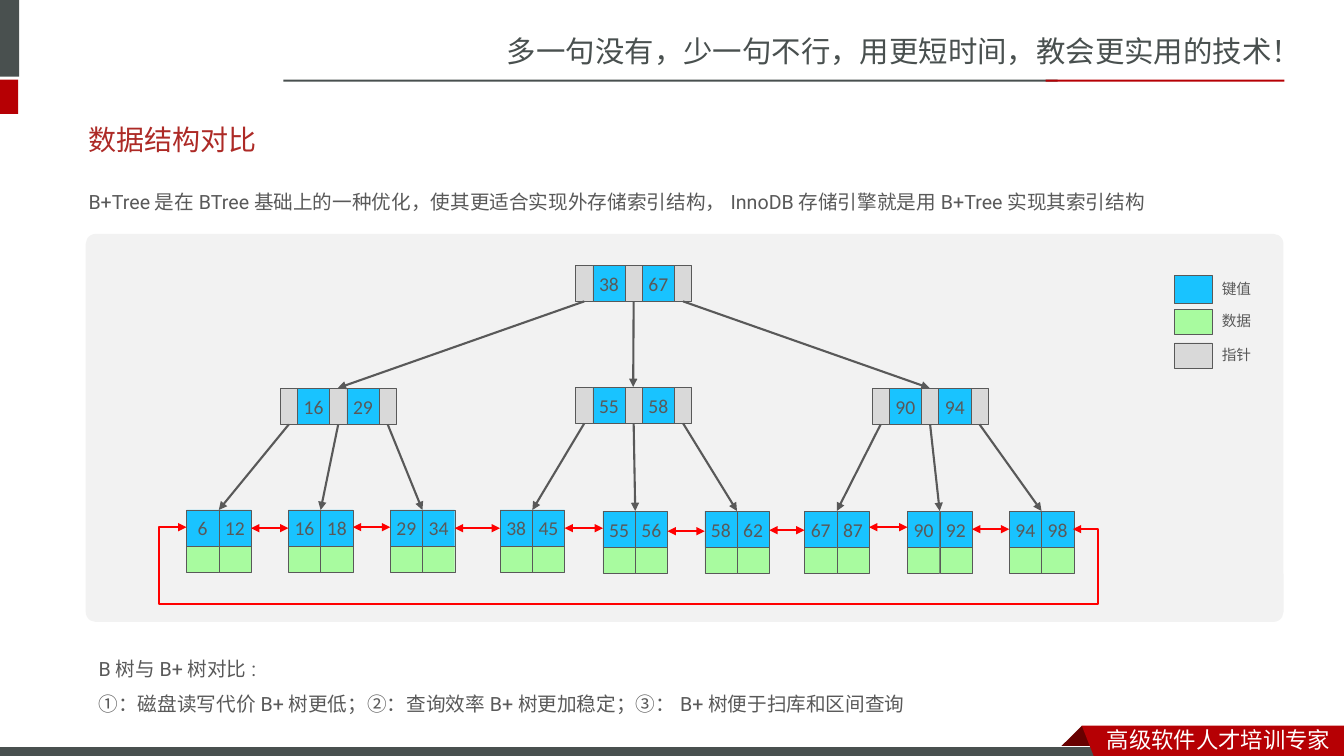
from lxml import etree
from pptx import Presentation
from pptx.dml.color import RGBColor
from pptx.enum.shapes import MSO_CONNECTOR, MSO_SHAPE
from pptx.enum.text import MSO_ANCHOR, PP_ALIGN
from pptx.oxml.ns import qn
from pptx.util import Inches, Pt

RECT = MSO_SHAPE.RECTANGLE
ROUNDED = MSO_SHAPE.ROUNDED_RECTANGLE
STRAIGHT = MSO_CONNECTOR.STRAIGHT
TOP, MIDDLE = MSO_ANCHOR.TOP, MSO_ANCHOR.MIDDLE
LEFT, CENTER = PP_ALIGN.LEFT, PP_ALIGN.CENTER

SLATE = RGBColor(0x49, 0x50, 0x4F)
CRIMSON = RGBColor(0xB6, 0x00, 0x04)
MAROON = RGBColor(0x68, 0x00, 0x00)
TITLE_RED = RGBColor(0xAD, 0x2A, 0x26)
LINK_RED = RGBColor(0xFF, 0x00, 0x00)
GRAY = RGBColor(0x59, 0x59, 0x59)
PANEL = RGBColor(0xF2, 0xF2, 0xF2)
KEY = RGBColor(0x19, 0xC3, 0xFF)
DATA = RGBColor(0xA8, 0xFB, 0x9F)
POINTER = RGBColor(0xD9, 0xD9, 0xD9)
WHITE = RGBColor(0xFF, 0xFF, 0xFF)
CJK = "Noto Sans CJK SC"

prs = Presentation()
prs.slide_width, prs.slide_height = Inches(13.33), Inches(7.5)
slide = prs.slides.add_slide(prs.slide_layouts[6])
shapes = slide.shapes


def add_box(text, x, y, w, h, fill=None, line=None, width=0.25, shape=RECT,
            size=14, font="Calibri", color=GRAY, align=LEFT, anchor=TOP,
            inset=None, spacing=None):
    place = Inches(x), Inches(y), Inches(w), Inches(h)
    if fill is None:
        s = shapes.add_textbox(*place)
    else:
        s = shapes.add_shape(shape, *place)
        s.shadow.inherit = False
        s.fill.solid()
        s.fill.fore_color.rgb = fill
        if line is None:
            s.line.fill.background()
        else:
            s.line.color.rgb = line
            s.line.width = Pt(width)
    if not text:
        return s
    tf = s.text_frame
    tf.word_wrap = True
    tf.vertical_anchor = anchor
    if inset is not None:
        tf.margin_left = tf.margin_right = Inches(inset)
        tf.margin_top = tf.margin_bottom = Inches(inset)
    for i, content in enumerate(text.split("\n")):
        p = tf.add_paragraph() if i else tf.paragraphs[0]
        p.alignment = align
        p.line_spacing = spacing
        r = p.add_run()
        r.text = content
        r.font.size = Pt(size)
        r.font.name = font
        r.font.color.rgb = color
        etree.SubElement(r.font._element, qn("a:ea")).set("typeface", CJK)
    return s


def add_arrow(points, color=GRAY, both=False):
    points = [(Inches(x), Inches(y)) for x, y in points]
    if len(points) == 2:
        s = shapes.add_connector(STRAIGHT, *points[0], *points[1])
    else:
        builder = shapes.build_freeform(*points[0])
        builder.add_line_segments(points[1:], close=False)
        s = builder.convert_to_shape()
        s.fill.background()
    s.line.color.rgb = color
    s.line.width = Pt(1.5)
    ln = s.line._get_or_add_ln()
    if both:
        etree.SubElement(ln, qn("a:headEnd")).set("type", "triangle")
    etree.SubElement(ln, qn("a:tailEnd")).set("type", "triangle")
    etree.SubElement(s._element.spPr, qn("a:effectLst"))


add_box("多一句没有，少一句不行，用更短时间，教会更实用的技术！",
        4.93, 0.28, 8.41, 0.47, size=21, font=CJK, color=SLATE)
for x, y, w, h, fill in [
    (-0.06, 0, 0.25, 0.76, SLATE),
    (-0.06, 0.79, 0.24, 0.34, CRIMSON),
    (2.81, 0.79, 7.68, 0.02, SLATE),
    (10.37, 0.79, 2.37, 0.02, CRIMSON),
]:
    add_box("", x, y, w, h, fill=fill)

ribbon_fold = [(10.73, 7.2), (10.95, 7.42), (10.94, 7.43), (10.52, 7.43), (10.51, 7.42)]
ribbon = [(10.73, 7.2), (13.33, 7.2), (13.33, 7.54), (10.86, 7.53)]
for outline, fill in [(ribbon_fold, MAROON), (ribbon, CRIMSON)]:
    corners = [(Inches(x), Inches(y)) for x, y in outline]
    builder = shapes.build_freeform(*corners[0])
    builder.add_line_segments(corners[1:])
    s = builder.convert_to_shape()
    s.shadow.inherit = False
    s.fill.solid()
    s.fill.fore_color.rgb = fill
    s.line.fill.background()
    if fill == MAROON:
        add_box("", -0.01, 7.41, 11, 0.12, fill=SLATE, line=WHITE, width=0.75)
add_box("高级软件人才培训专家", 10.88, 7.15, 2.45, 0.37, size=16, font=CJK, color=WHITE)

add_box("数据结构对比", 0.78, 1.1, 11.7, 0.57, size=20, font="Arial",
        color=TITLE_RED, anchor=MIDDLE)
add_box("B+Tree是在BTree基础上的一种优化，使其更适合实现外存储索引结构，InnoDB存储引擎就是用B+Tree实现其索引结构",
        0.78, 1.72, 11.56, 0.79, font="Roboto", spacing=1.5)

panel = add_box("", 0.85, 2.32, 11.88, 3.85, fill=PANEL, shape=ROUNDED)
panel.adjustments[0] = 0.026

for label, fill, y, h, label_y in [
    ("键值", KEY, 2.73, 0.28, 2.73),
    ("数据", DATA, 3.07, 0.25, 3.04),
    ("指针", POINTER, 3.4, 0.25, 3.38),
]:
    add_box("", 11.65, y, 0.37, h, fill=fill, line=GRAY)
    add_box(label, 12.02, label_y, 0.55, 0.28, size=10.5)

KEY_W, KEY_H, DATA_H = 0.32, 0.36, 0.26
POINTER_W, POINTER_STEP = 0.17, 0.49
NODE_MIDDLE = 0.57

root = (5.71, 2.63, (38, 67))
branches = [(2.78, 3.85, (16, 29)), (5.71, 3.84, (55, 58)), (8.65, 3.85, (90, 94))]
leaves = [
    (1.85, 5.06, (6, 12)), (2.86, 5.06, (16, 18)), (3.87, 5.06, (29, 34)),
    (4.96, 5.06, (38, 45)), (5.98, 5.07, (55, 56)), (6.99, 5.07, (58, 62)),
    (7.98, 5.07, (67, 87)), (9, 5.07, (90, 92)), (10.01, 5.07, (94, 98)),
]
key_format = dict(fill=KEY, line=GRAY, align=CENTER, anchor=MIDDLE, inset=0.04)

for x, y, keys in [root] + branches:
    for i in range(3):
        add_box("", x + i * POINTER_STEP, y, POINTER_W, KEY_H, fill=POINTER, line=GRAY)
    for i, key in enumerate(keys):
        add_box(str(key), x + POINTER_W + i * POINTER_STEP, y, KEY_W, KEY_H, **key_format)

for x, y, keys in leaves:
    for i, key in enumerate(keys):
        left = x + i * KEY_W
        add_box("", left, y + KEY_H, KEY_W, DATA_H, fill=DATA, line=GRAY)
        add_box(str(key), left, y, KEY_W, KEY_H, **key_format)

families = [(root, branches, NODE_MIDDLE)]
families += [(b, leaves[3 * i:3 * i + 3], KEY_W) for i, b in enumerate(branches)]
for (x, y, _), children, middle in families:
    for i, (child_x, child_y, _) in enumerate(children):
        start = x + POINTER_W / 2 + i * POINTER_STEP
        add_arrow([(start, y + KEY_H), (child_x + middle, child_y)])

link_heights = [5.24, 5.23, 5.24, 5.24, 5.27, 5.26, 5.23, 5.25]
for leaf, next_leaf, y in zip(leaves, leaves[1:], link_heights):
    add_arrow([(leaf[0] + 2 * KEY_W, y), (next_leaf[0], y)], color=LINK_RED, both=True)
add_arrow([(1.85, 5.23), (1.58, 5.23), (1.58, 5.99), (10.89, 5.99), (10.89, 5.25), (10.64, 5.25)],
          color=LINK_RED, both=True)

add_box("B树与B+树对比:\n①：磁盘读写代价B+树更低；②：查询效率B+树更加稳定；③：B+树便于扫库和区间查询",
        0.88, 6.35, 9.15, 0.77, font="Roboto", spacing=1.5)

prs.save("out.pptx")
